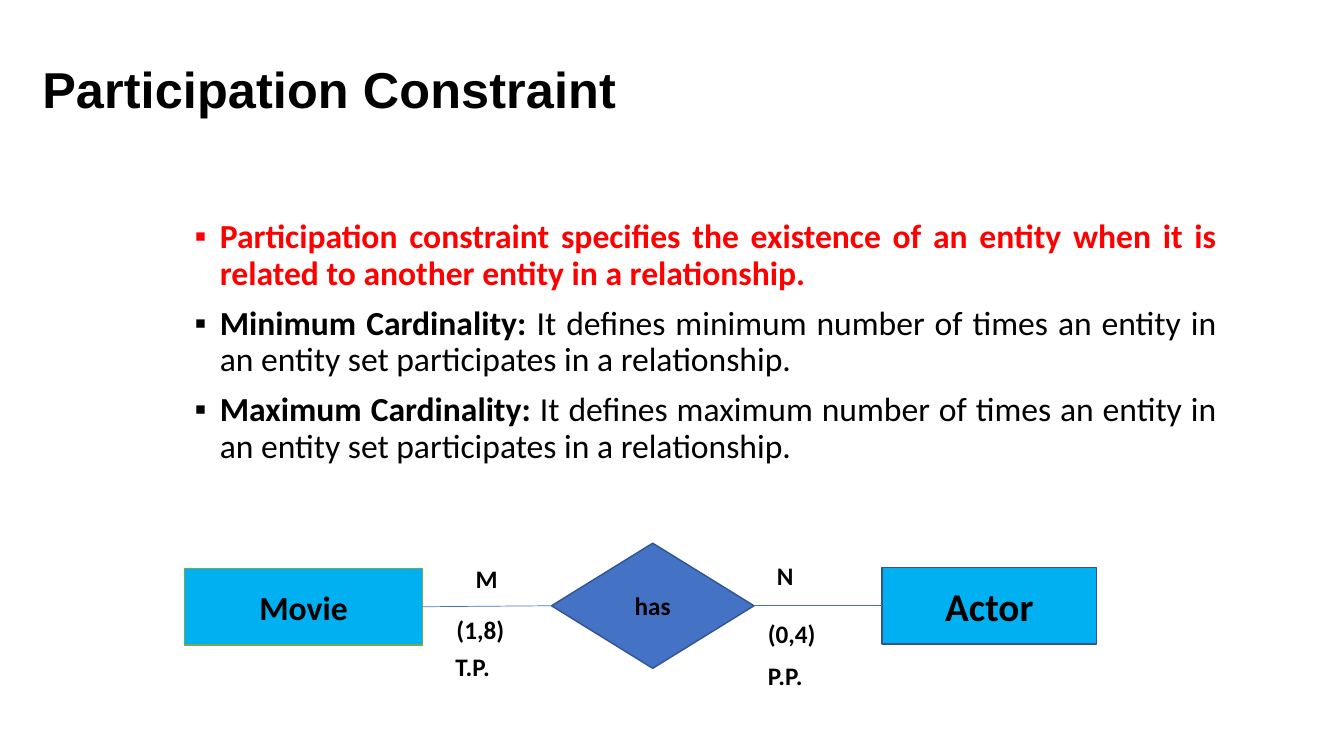
from lxml import etree
from pptx import Presentation
from pptx.dml.color import RGBColor
from pptx.enum.shapes import MSO_CONNECTOR, MSO_SHAPE
from pptx.enum.text import MSO_ANCHOR, MSO_AUTO_SIZE, PP_ALIGN
from pptx.oxml.ns import qn
from pptx.util import Pt

BLACK = RGBColor(0x00, 0x00, 0x00)
RED = RGBColor(0xFF, 0x00, 0x00)
SKY = RGBColor(0x00, 0xB0, 0xF0)
BLUE = RGBColor(0x44, 0x72, 0xC4)
NAVY = RGBColor(0x32, 0x54, 0x91)
GREEN = RGBColor(0x70, 0xAD, 0x47)

TITLE = "Participation Constraint"
BULLETS = [
    [("Participation constraint specifies the existence of an entity when it is "
      "related to another entity in a relationship. ", True, RED)],
    [("Minimum Cardinality: ", True, BLACK),
     ("It defines minimum number of times an entity in an entity set "
      "participates in a relationship.", False, BLACK)],
    [("Maximum Cardinality: ", True, BLACK),
     ("It defines maximum number of times an entity in an entity set "
      "participates in a relationship.", False, BLACK)],
]
NODES = {
    "has": (MSO_SHAPE.DIAMOND, (393.9, 388, 144.7, 89.4), BLUE, NAVY, 18),
    "Movie": (MSO_SHAPE.RECTANGLE, (131.8, 406.1, 170, 54.6), SKY, GREEN, 24),
    "Actor": (MSO_SHAPE.RECTANGLE, (630, 405.4, 153.4, 54.6), SKY, NAVY, 28),
}
LINKS = [("Movie", 3, "has", 1), ("has", 3, "Actor", 1)]
LABELS = [
    ("(1,8)", 319, 435.6), ("M", 332.6, 398.9), ("N", 547.9, 396.7),
    ("(0,4)", 541.4, 437.8), ("T.P.", 318.2, 461.5), ("P.P.", 541.4, 468),
]


def place(shape, left, top, width, height):
    """Move and size a shape in points."""
    shape.left, shape.top = Pt(left), Pt(top)
    shape.width, shape.height = Pt(width), Pt(height)


def add_run(paragraph, text, size, bold=True, color=BLACK, font="Calibri"):
    """Add a formatted run to a paragraph."""
    run = paragraph.add_run()
    run.text = text
    run.font.size, run.font.bold, run.font.name = Pt(size), bold, font
    run.font.color.rgb = color
    return run


def add_bullet(paragraph, parts):
    """Fill a justified paragraph with a square bullet."""
    paragraph.alignment = PP_ALIGN.JUSTIFY
    paragraph.line_spacing = 0.9
    paragraph.space_before = Pt(10)
    properties = paragraph._p.get_or_add_pPr()
    properties.set("marL", str(Pt(18)))
    properties.set("indent", str(-Pt(18)))
    etree.SubElement(properties, qn("a:buFont"), typeface="Arial")
    etree.SubElement(properties, qn("a:buChar"), char="▪")
    for text, bold, color in parts:
        add_run(paragraph, text, 24, bold, color)


def add_node(shapes, name, kind, box, fill, line, size):
    """Draw an entity or relationship."""
    node = shapes.add_shape(kind, *map(Pt, box))
    node.shadow.inherit = False
    node.fill.solid()
    node.fill.fore_color.rgb = fill
    node.line.color.rgb = line
    node.line.width = Pt(1)
    node.text_frame.vertical_anchor = MSO_ANCHOR.MIDDLE
    paragraph = node.text_frame.paragraphs[0]
    paragraph.alignment = PP_ALIGN.CENTER
    add_run(paragraph, name, size)
    return node


def add_link(shapes, start, start_site, end, end_site):
    """Join two nodes with a thin line."""
    link = shapes.add_connector(MSO_CONNECTOR.STRAIGHT, 0, 0, 0, 0)
    link.begin_connect(start, start_site)
    link.end_connect(end, end_site)
    link.line.color.rgb = BLUE
    link.line.width = Pt(0.5)
    etree.SubElement(link._element.spPr, qn("a:effectLst"))


def main():
    """Build the slide."""
    deck = Presentation()
    deck.slide_width, deck.slide_height = Pt(960), Pt(540)
    slide = deck.slides.add_slide(deck.slide_layouts[1])
    shapes = slide.shapes

    title, body = slide.placeholders
    place(title, 23, 22.3, 503.3, 87.1)
    title.text_frame.vertical_anchor = MSO_ANCHOR.MIDDLE
    title.text_frame.auto_size = MSO_AUTO_SIZE.NONE
    heading = title.text_frame.paragraphs[0]
    heading.alignment, heading.line_spacing = PP_ALIGN.LEFT, 0.9
    run = add_run(heading, TITLE, 36, font="Arial")
    run.font._element.set("spc", "10")

    place(body, 131.8, 153.4, 744.5, 165.6)
    frame = body.text_frame
    frame.auto_size = MSO_AUTO_SIZE.NONE
    for index, parts in enumerate(BULLETS):
        add_bullet(frame.add_paragraph() if index else frame.paragraphs[0], parts)

    nodes = {name: add_node(shapes, name, *spec) for name, spec in NODES.items()}
    for start, start_site, end, end_site in LINKS:
        add_link(shapes, nodes[start], start_site, nodes[end], end_site)

    for text, left, top in LABELS:
        label = shapes.add_textbox(Pt(left), Pt(top), Pt(88.6), Pt(28.8))
        label.text_frame.word_wrap = True
        add_run(label.text_frame.paragraphs[0], text, 18)

    deck.save("out.pptx")


main()
